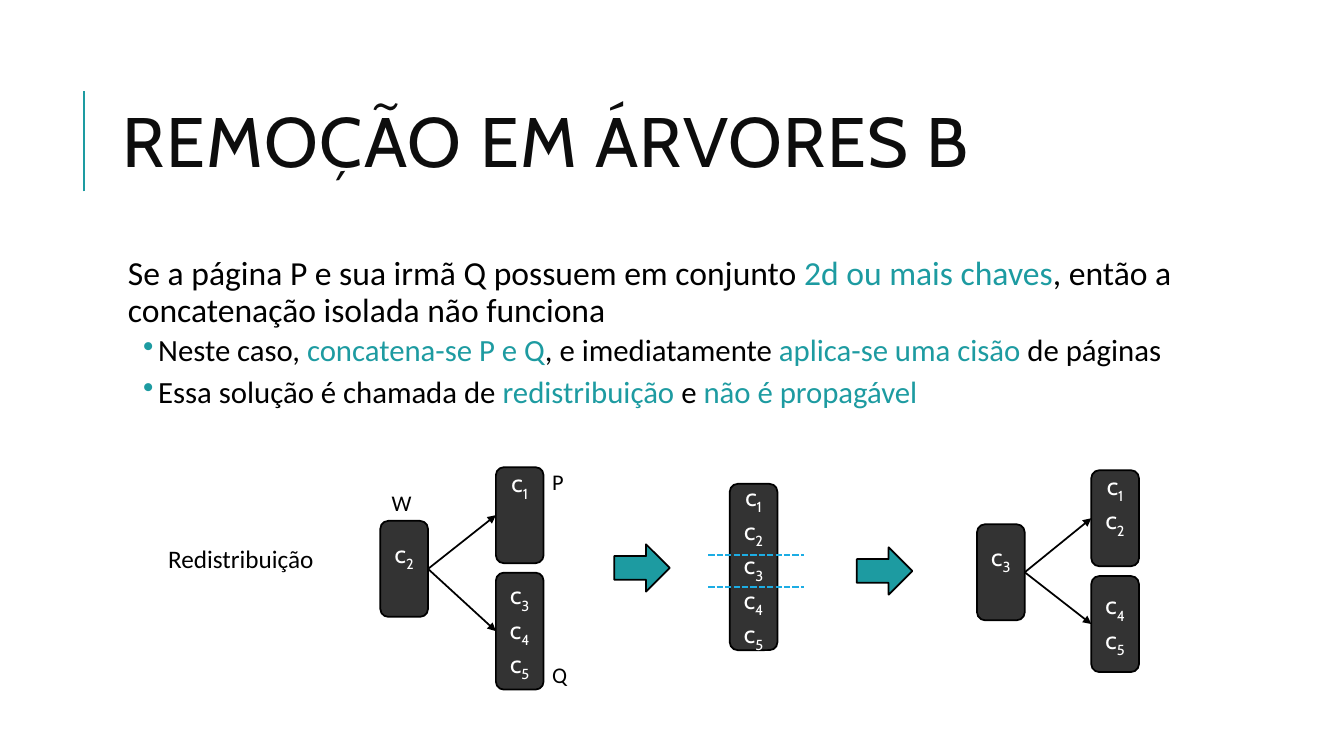
from dataclasses import dataclass

from pptx import Presentation, util as u
from pptx.dml.color import RGBColor
from pptx.enum import dml, shapes, text
from pptx.oxml import parse_xml
from pptx.oxml.ns import nsdecls

HUES = {
    "ink": "000000", "title": "0D0D0D", "teal": "1D9BA1",
    "cut": "1CADE4", "page": "333333", "white": "FFFFFF",
}
WIDE, HIGH = u.Inches(13.333), u.Inches(7.5)
PAGE_W, PAGE_H = 3.55, 12.7


@dataclass
class Page:
    """A tree page; places are percent of the slide, lift is in inches."""
    left: float
    top: float
    keys: str
    high: float = PAGE_H
    lift: float = 0.0

    @property
    def mid(self) -> float:
        return self.top + self.high / 2


@dataclass
class Label:
    left: float
    top: float
    words: str
    wide: float = 3.2
    size: int = 16


OLD_W = Page(28.3, 68.9, "2", lift=0.27)
OLD_P = Page(36.9, 61.8, "1", lift=0.6)
OLD_Q = Page(36.9, 75.75, "345", high=15.47)
JOINED = Page(54.3, 64, "12345", high=22)
NEW_W = Page(72.7, 69.35, "3", lift=0.27)
NEW_P = Page(81.2, 62.2, "12", lift=0.27)
NEW_Q = Page(81.2, 76.2, "45")
PAGES = [OLD_W, OLD_P, OLD_Q, JOINED, NEW_W, NEW_P, NEW_Q]
LINKS = [(OLD_W, OLD_P), (OLD_W, OLD_Q), (NEW_W, NEW_P), (NEW_W, NEW_Q)]
LABELS = [
    Label(11.78, 71.2, "Redistribuição", wide=15.98, size=18),
    Label(40.35, 61.2, "P"),
    Label(40.35, 86.8, "Q"),
    Label(28.4, 64.1, "W"),
]
STEPS = [(45.7, 72), (63.75, 72.4)]
CUTS = [73.45, 77.6]
# Bars switch between black and teal.
LEAD = ("Se a página P e sua irmã Q possuem em conjunto |2d ou mais chaves|"
        ", então a concatenação isolada não funciona")
POINTS = [
    "Neste caso, |concatena-se P e Q|, e imediatamente |aplica-se uma cisão |de páginas",
    "Essa solução é chamada de |redistribuição |e |não é propagável",
]


def col(share: float) -> int:
    return round(WIDE * share / 100)


def row(share: float) -> int:
    return round(HIGH * share / 100)


def hue(name: str) -> RGBColor:
    return RGBColor.from_string(HUES[name])


def style(run, face: str, size: float, name: str) -> None:
    run.font.name, run.font.size = face, u.Pt(size)
    run.font.color.rgb = hue(name)


def add_box(slide, left: float, top: float, wide: float, high: float):
    box = slide.shapes.add_textbox(col(left), row(top), col(wide), row(high))
    box.text_frame.word_wrap = True
    return box.text_frame


def add_line(slide, start: tuple, end: tuple, name: str, width: float):
    line = slide.shapes.add_connector(
        shapes.MSO_CONNECTOR.STRAIGHT,
        col(start[0]), row(start[1]), col(end[0]), row(end[1]))
    line.line.color.rgb, line.line.width = hue(name), u.Pt(width)
    line._element.spPr.append(parse_xml(f"<a:effectLst {nsdecls('a')}/>"))
    return line


def add_form(slide, kind, left: float, top: float, wide: float, high: float, fill: str):
    form = slide.shapes.add_shape(kind, col(left), row(top), col(wide), row(high))
    form.shadow.inherit = False
    form.fill.solid()
    form.fill.fore_color.rgb = hue(fill)
    form.line.color.rgb, form.line.width = hue("ink"), u.Pt(1.25)
    return form


def add_page(slide, page: Page) -> None:
    form = add_form(slide, shapes.MSO_SHAPE.ROUNDED_RECTANGLE,
                    page.left, page.top, PAGE_W, page.high, "page")
    frame = form.text_frame
    frame.margin_left = frame.margin_right = frame.margin_top = 0
    frame.margin_bottom = u.Inches(page.lift)
    frame.vertical_anchor = text.MSO_ANCHOR.MIDDLE
    frame.text = "\n".join("c" * len(page.keys))
    for para, key in zip(frame.paragraphs, page.keys):
        para.alignment = text.PP_ALIGN.CENTER
        sub = para.add_run()
        sub.text = key
        for run in para.runs:
            style(run, "Cabin", 18, "white")
        sub._r.get_or_add_rPr().set("baseline", "-25000")


def add_link(slide, source: Page, child: Page) -> None:
    line = add_line(slide, (source.left + PAGE_W, source.mid),
                    (child.left, child.mid), "ink", 1.25)
    line.line._get_or_add_ln().append(
        parse_xml(f'<a:tailEnd {nsdecls("a")} type="triangle"/>'))


def add_label(slide, label: Label) -> None:
    frame = add_box(slide, label.left, label.top, label.wide, 5)
    frame.text = label.words
    style(frame.paragraphs[0].runs[0], "Calibri", label.size, "ink")


def fill_para(para, words: str, size: float) -> None:
    for spot, part in enumerate(words.split("|")):
        run = para.add_run()
        run.text = part
        style(run, "Calibri", size, "teal" if spot % 2 else "ink")
    para.line_spacing = 0.9


def add_body(slide) -> None:
    frame = add_box(slide, 8.4, 33.33, 79.72, 58.67)
    frame.margin_left = frame.margin_right = u.Inches(0.05)
    lead = frame.paragraphs[0]
    lead._p.get_or_add_pPr().set("marL", str(u.Inches(0.1)))
    fill_para(lead, LEAD, 24)
    lead.space_after = u.Pt(2)
    for words in POINTS:
        para = frame.add_paragraph()
        props = para._p.get_or_add_pPr()
        props.set("marL", str(u.Inches(0.4)))
        props.set("indent", str(u.Inches(-0.15)))
        props.append(parse_xml(
            f'<a:buClr {nsdecls("a")}><a:srgbClr val="{HUES["teal"]}"/></a:buClr>'))
        props.append(parse_xml(f'<a:buChar {nsdecls("a")} char="•"/>'))
        fill_para(para, words, 22)
        para.space_before, para.space_after = u.Pt(2), u.Pt(4)


def add_title(slide) -> None:
    title = slide.shapes.title
    title.left, title.top = col(8.4), row(8.53)
    title.width, title.height = col(79.72), row(21.87)
    frame = title.text_frame
    frame.text = "REMOÇÃO EM ÁRVORES B"
    frame.auto_size = text.MSO_AUTO_SIZE.NONE
    frame.vertical_anchor = text.MSO_ANCHOR.MIDDLE
    para = frame.paragraphs[0]
    para.alignment, para.line_spacing = text.PP_ALIGN.LEFT, 0.8
    style(para.runs[0], "Cabin", 50, "title")
    para.runs[0]._r.get_or_add_rPr().set("spc", "100")


def main() -> None:
    deck = Presentation()
    deck.slide_width, deck.slide_height = WIDE, HIGH
    slide = deck.slides.add_slide(deck.slide_layouts[5])
    add_line(slide, (6.25, 25.33), (6.25, 12), "teal", 1.5)
    add_title(slide)
    add_body(slide)
    for page in PAGES:
        add_page(slide, page)
    for source, child in LINKS:
        add_link(slide, source, child)
    for label in LABELS:
        add_label(slide, label)
    for left, top in STEPS:
        add_form(slide, shapes.MSO_SHAPE.RIGHT_ARROW, left, top, 4.13, 6.27, "teal")
    for top in CUTS:
        line = add_line(slide, (52.7, top), (59.8, top), "cut", 1.5)
        line.line.dash_style = dml.MSO_LINE.SQUARE_DOT
    deck.save("out.pptx")


if __name__ == "__main__":
    main()
